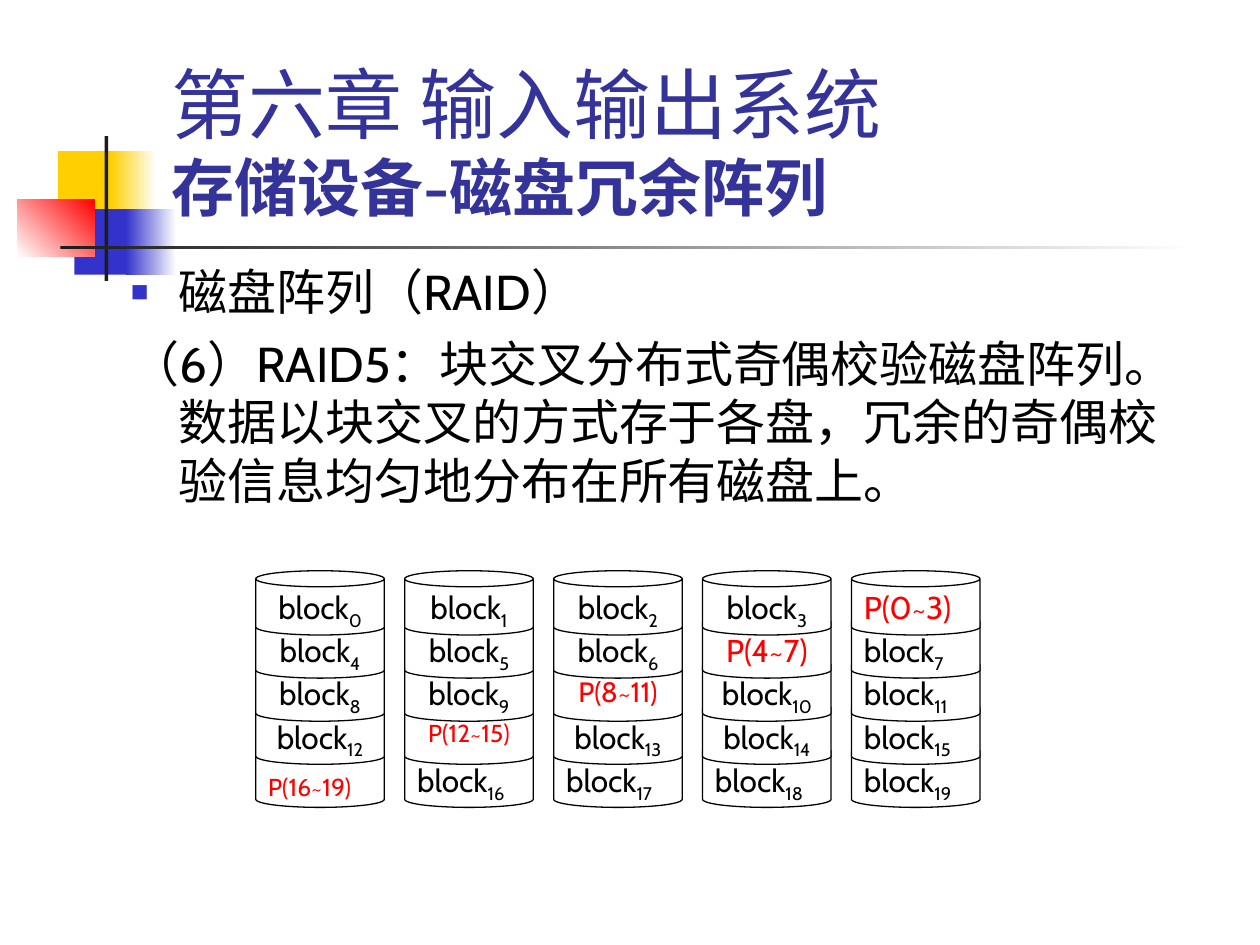
from lxml.etree import SubElement
from pptx import Presentation
from pptx.dml.color import RGBColor
from pptx.enum.shapes import MSO_SHAPE
from pptx.enum.text import MSO_ANCHOR, MSO_AUTO_SIZE, PP_ALIGN
from pptx.oxml.ns import qn
from pptx.util import Inches, Pt

rgb = RGBColor.from_string

deck = Presentation()
deck.slide_width, deck.slide_height = Inches(10), Inches(7.5)
unit = deck.slide_width / 100  # the slide is a grid of 100 columns by 75 rows
slide = deck.slides.add_slide(deck.slide_layouts[5])
shapes = slide.shapes


def grid(*cells):
    """Turn columns and rows of the grid into lengths."""
    return [round(cell * unit) for cell in cells]


def write(para, text, size=18, color="000000", bold=False, base=None):
    run = para.add_run()
    run.text = text
    font = run.font
    font.name, font.size, font.bold = "Cabin", Pt(size), bold
    font.color.rgb = rgb(color)
    if base is not None:
        font._element.set("baseline", str(base * 1000))


# Corner ornament: place, colours from start to end, angle
decor = [
    ((4.6, 12, 4.8, 5.2), ["FFCF01"], 0),
    ((8.8, 12, 3.6, 5.2), ["FFCF01", "FFFFFF"], 0),
    ((5.9, 16.6, 4.6, 5.2), ["3333CC"], 0),
    ((10, 16.6, 4, 5.2), ["3333CC", "FFFFFF"], 0),
    ((1.4, 15.8, 6.1, 4.6), ["FFFFFF", "FF0000"], 45),
    ((8.3, 10.8, 0.3, 11.5), ["1C1C1C"], 0),
    ((4.8, 19.5, 90, 0.3), ["1C1C1C", "FFFFFF"], 0),
]
for place, colors, angle in decor:
    bar = shapes.add_shape(MSO_SHAPE.RECTANGLE, *grid(*place))
    bar.shadow.inherit = False
    bar.line.fill.background()
    if len(colors) == 1:
        bar.fill.solid()
        bar.fill.fore_color.rgb = rgb(colors[0])
    else:
        bar.fill.gradient()
        bar.fill.gradient_angle = angle
        for stop, color in zip(bar.fill.gradient_stops, colors):
            stop.color.rgb = rgb(color)

# Title, moved in front of the ornament
title = shapes.title
title.left, title.top, title.width, title.height = grid(12.6, 2.3, 85.2, 16)
shapes._spTree.append(title._element)
frame = title.text_frame
frame.auto_size = MSO_AUTO_SIZE.NONE
frame.vertical_anchor = MSO_ANCHOR.BOTTOM
head = frame.paragraphs[0]
head.alignment = PP_ALIGN.LEFT
write(head, "第六章 输入输出系统", size=44, color="333399")
head.add_line_break()
write(head, "存储设备-磁盘冗余阵列", size=36, color="333399", bold=True)

# Body text with a hanging indent
body = shapes.add_textbox(*grid(9.4, 20.3, 85, 22.1)).text_frame
body.word_wrap = True
topic, detail = body.paragraphs[0], body.add_paragraph()
for para in (topic, detail):
    props = para._p.get_or_add_pPr()
    hang = Inches(0.38)
    props.set("marL", str(hang))
    props.set("indent", str(-hang))
props = topic._p.get_or_add_pPr()
SubElement(SubElement(props, qn("a:buClr")), qn("a:srgbClr")).set("val", "3333CC")
SubElement(props, qn("a:buSzPct")).set("val", "60000")
SubElement(props, qn("a:buFont")).set("typeface", "Arial")
SubElement(props, qn("a:buChar")).set("char", "■")
detail.space_before = Pt(7)
write(topic, "磁盘阵列（RAID）", size=28)
write(
    detail,
    "（6）RAID5：块交叉分布式奇偶校验磁盘阵列。数据以块交叉的方式存于各盘，"
    "冗余的奇偶校验信息均匀地分布在所有磁盘上。",
    size=28,
)

# Five disks of five stacked blocks, the upper ones in front
disks = 5
left, top, wide, tall = 20.3, 45.3, 10.2, 5.1
step, drop = 11.82, 3.42
for disk in range(disks):
    for row in reversed(range(disks)):
        can = shapes.add_shape(
            MSO_SHAPE.CAN, *grid(left + disk * step, top + row * drop, wide, tall)
        )
        can.adjustments[0] = 0.25
        can.shadow.inherit = False
        can.fill.solid()
        can.fill.fore_color.rgb = rgb("FFFFFF")
        can.line.color.rgb = rgb("000000")
        can.line.width = Pt(0.75)

# Data blocks count on along each row; parity moves one disk left per row
sizes = [18, 18, 16, 14, 14]
block = 0
for row in range(disks):
    first = row * (disks - 1)
    for disk in range(disks):
        parity = disk == disks - 1 - row
        last = row == disks - 1
        shift = 1.8 if parity and last else 0.9
        label = shapes.add_textbox(
            *grid(left + disk * step, top + shift + row * drop, wide, 4.4 - shift / 2)
        ).text_frame
        label.word_wrap = True
        para = label.paragraphs[0]
        edge = last or disk == disks - 1
        para.alignment = PP_ALIGN.LEFT if edge else PP_ALIGN.CENTER
        if parity:
            write(para, f"P({first}~{first + disks - 2})", size=sizes[row], color="FF0000")
        else:
            write(para, "block")
            write(para, str(block), base=-25)
            block += 1

deck.save("out.pptx")
